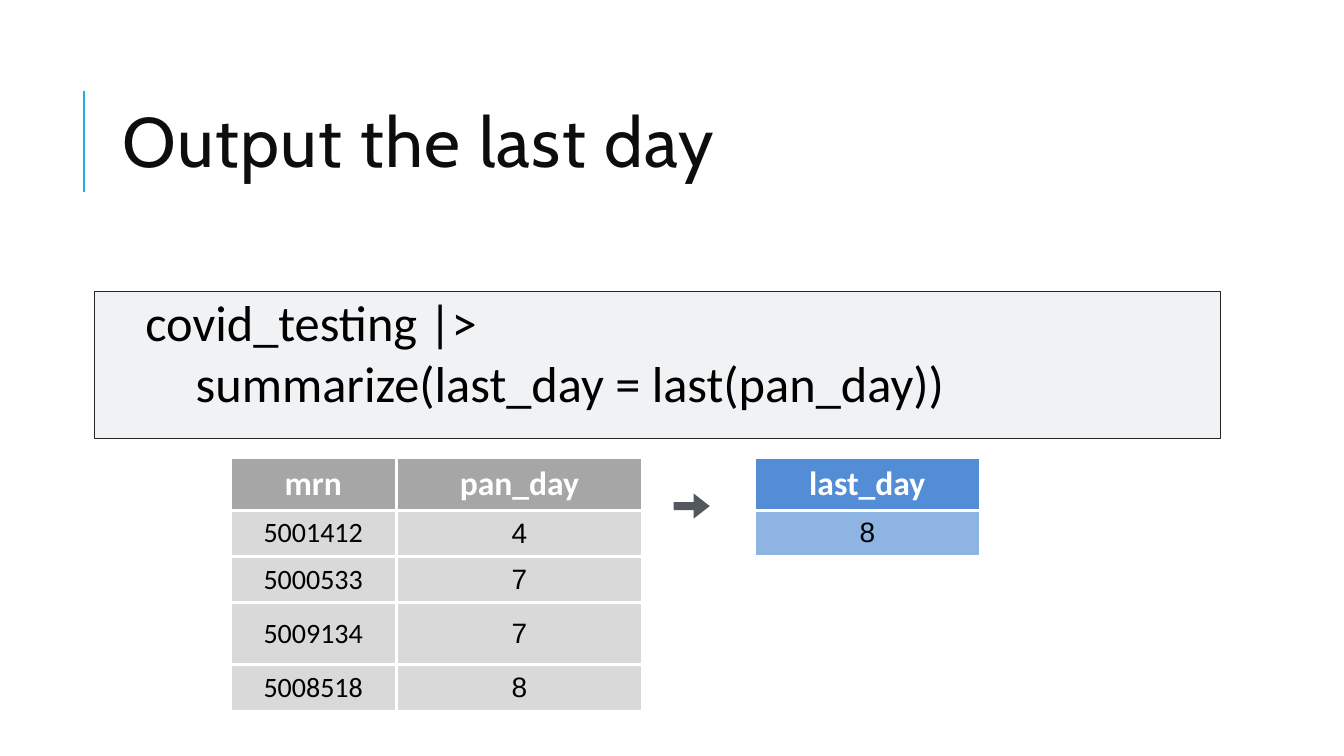
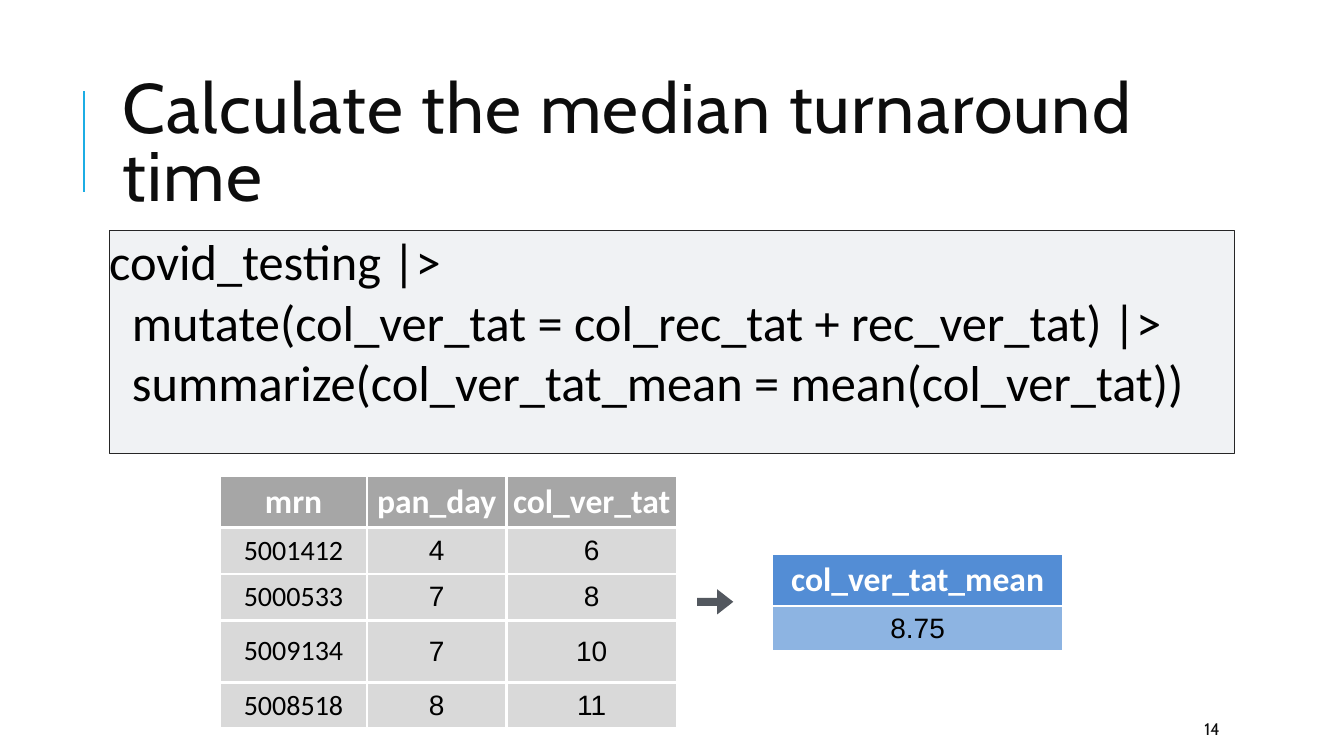
from dataclasses import dataclass

import lxml.etree
import pptx
import pptx.dml.color
import pptx.enum.shapes
import pptx.enum.text
import pptx.oxml.ns
import pptx.presentation
import pptx.shapes.autoshape
import pptx.slide
import pptx.table
import pptx.text.text
import pptx.util

# The slide is a grid of 160 columns by 90 rows; every length below is in cells.
SLIDE_WIDTH, SLIDE_HEIGHT = pptx.util.Inches(13.33), pptx.util.Inches(7.5)
COLUMNS, ROWS = 160, 90

WHITE, BLACK = "FFFFFF", "000000"
TITLE_INK, ACCENT = "0D0D0D", "1CADE4"
CODE_FILL, CODE_BORDER = "F0F2F4", "262626"
ARROW_FILL = "53585F"
TITLE_FONT, CODE_FONT, VALUE_FONT = "Cabin", "Calibri", "Arial"

HEADER_ROW, BODY_ROW, TALL_ROW, RESULT_ROW = 6.2, 5.5, 7.4, 5.3
INPUT_ROWS = (HEADER_ROW, BODY_ROW, BODY_ROW, TALL_ROW, BODY_ROW)
RESULT_ROWS = (HEADER_ROW, RESULT_ROW)
ARROW_WIDTH, ARROW_HEIGHT = 4.3, 3

MIDDLE = pptx.enum.text.MSO_ANCHOR.MIDDLE
CENTER = pptx.enum.text.PP_ALIGN.CENTER


@dataclass(frozen=True)
class Box:
    left: float
    top: float
    width: float
    height: float


@dataclass(frozen=True)
class Palette:
    header: str
    body: str


INPUT_PALETTE = Palette("A6A6A6", "D9D9D9")
RESULT_PALETTE = Palette("538DD5", "8DB4E2")


@dataclass(frozen=True)
class DataTable:
    left: float
    top: float
    widths: tuple[float, ...]
    heights: tuple[float, ...]
    cells: tuple[tuple[str, ...], ...]
    palette: Palette


@dataclass(frozen=True)
class Step:
    title: str
    code_box: Box
    code: tuple[str, ...]
    before: DataTable
    arrow_left: float
    after: DataTable
    page: str = ""


STEPS = (
    Step(
        title="Output the last day",
        code_box=Box(11.3, 34.7, 134, 17.5),
        code=("\tcovid_testing |>", "\t\tsummarize(last_day = last(pan_day))"),
        before=DataTable(
            27.4, 54.5, (19.8, 29.3), INPUT_ROWS,
            (("mrn", "pan_day"), ("5001412", "4"), ("5000533", "7"),
             ("5009134", "7"), ("5008518", "8")),
            INPUT_PALETTE,
        ),
        arrow_left=80.2,
        after=DataTable(89.8, 54.5, (26.9,), RESULT_ROWS,
                        (("last_day",), ("8",)), RESULT_PALETTE),
    ),
    Step(
        title="Calculate the median turnaround time",
        code_box=Box(13, 27.4, 134, 26.6),
        code=(
            "covid_testing |>",
            "  mutate(col_ver_tat = col_rec_tat + rec_ver_tat) |>",
            "  summarize(col_ver_tat_mean = mean(col_ver_tat))",
        ),
        before=DataTable(
            26.2, 56.6, (17.5, 16.6, 20.3), INPUT_ROWS,
            (("mrn", "pan_day", "col_ver_tat"), ("5001412", "4", "6"),
             ("5000533", "7", "8"), ("5009134", "7", "10"),
             ("5008518", "8", "11")),
            INPUT_PALETTE,
        ),
        arrow_left=83,
        after=DataTable(91.9, 65.9, (34.7,), RESULT_ROWS,
                        (("col_ver_tat_mean",), ("8.75",)), RESULT_PALETTE),
        page="14",
    ),
)


def across(columns: float) -> pptx.util.Emu:
    return pptx.util.Emu(round(SLIDE_WIDTH * columns / COLUMNS))


def down(rows: float) -> pptx.util.Emu:
    return pptx.util.Emu(round(SLIDE_HEIGHT * rows / ROWS))


def place(box: Box) -> tuple[pptx.util.Emu, ...]:
    """Turn a box in grid cells into left, top, width and height."""
    return across(box.left), down(box.top), across(box.width), down(box.height)


def colour(value: str) -> pptx.dml.color.RGBColor:
    return pptx.dml.color.RGBColor.from_string(value)


def add_run(paragraph: pptx.text.text._Paragraph, text: str, font: str,
            size: float, ink: str, bold: bool = False) -> pptx.text.text._Run:
    run = paragraph.add_run()
    run.text = text
    run.font.name = font
    run.font.size = pptx.util.Pt(size)
    run.font.bold = bold
    run.font.color.rgb = colour(ink)
    return run


def add_line_of_text(slide: pptx.slide.Slide, box: Box, text: str,
                     size: float) -> pptx.text.text._Paragraph:
    """Add a wrapped, vertically centred text box in the title font."""
    frame = slide.shapes.add_textbox(*place(box)).text_frame
    frame.word_wrap = True
    frame.vertical_anchor = MIDDLE
    paragraph = frame.paragraphs[0]
    add_run(paragraph, text, TITLE_FONT, size, TITLE_INK)
    return paragraph


def add_title(slide: pptx.slide.Slide, text: str) -> None:
    rule = slide.shapes.add_connector(
        pptx.enum.shapes.MSO_CONNECTOR.STRAIGHT,
        across(10), down(22.8), across(10), down(10.8))
    rule.line.color.rgb = colour(ACCENT)
    rule.line.width = pptx.util.Pt(1.5)
    lxml.etree.SubElement(rule._element.spPr, pptx.oxml.ns.qn("a:effectLst"))

    title = add_line_of_text(slide, Box(13.4, 7.7, 127.6, 19.7), text, 50)
    title.line_spacing = 0.8
    title.runs[0].font._element.set("spc", "100")


def add_filled_shape(slide: pptx.slide.Slide,
                     preset: pptx.enum.shapes.MSO_SHAPE, box: Box,
                     fill: str) -> pptx.shapes.autoshape.Shape:
    shape = slide.shapes.add_shape(preset, *place(box))
    shape.shadow.inherit = False
    shape.fill.solid()
    shape.fill.fore_color.rgb = colour(fill)
    shape.line.fill.background()
    return shape


def add_code(slide: pptx.slide.Slide, box: Box, lines: tuple[str, ...]) -> None:
    panel = add_filled_shape(
        slide, pptx.enum.shapes.MSO_SHAPE.RECTANGLE, box, CODE_FILL)
    panel.line.color.rgb = colour(CODE_BORDER)
    panel.line.width = pptx.util.Pt(0.75)
    frame = panel.text_frame
    frame.word_wrap = True
    frame.vertical_anchor = pptx.enum.text.MSO_ANCHOR.TOP
    frame.margin_left = frame.margin_right = 0
    frame.margin_top = frame.margin_bottom = 0
    for index, line in enumerate(lines):
        paragraph = frame.add_paragraph() if index else frame.paragraphs[0]
        paragraph.alignment = pptx.enum.text.PP_ALIGN.LEFT
        add_run(paragraph, line, CODE_FONT, 36, BLACK)


def add_arrow(slide: pptx.slide.Slide, left: float, target: DataTable) -> None:
    """Add an arrow level with the middle of the table it points to."""
    top = target.top + (sum(target.heights) - ARROW_HEIGHT) / 2
    arrow = add_filled_shape(
        slide, pptx.enum.shapes.MSO_SHAPE.RIGHT_ARROW,
        Box(left, top, ARROW_WIDTH, ARROW_HEIGHT), ARROW_FILL)
    arrow.adjustments[0] = 0.32
    arrow.adjustments[1] = 0.64


def add_cell_borders(cell: pptx.table._Cell) -> None:
    qn = pptx.oxml.ns.qn
    properties = cell._tc.get_or_add_tcPr()
    for side in ("a:lnL", "a:lnR", "a:lnT", "a:lnB"):
        border = lxml.etree.SubElement(
            properties, qn(side), w=str(pptx.util.Pt(2.25)))
        fill = lxml.etree.SubElement(border, qn("a:solidFill"))
        lxml.etree.SubElement(fill, qn("a:srgbClr"), val=WHITE)


def fill_cell(cell: pptx.table._Cell, text: str, fill: str, font: str,
              size: float, ink: str, bold: bool) -> None:
    add_cell_borders(cell)
    cell.fill.solid()
    cell.fill.fore_color.rgb = colour(fill)
    cell.vertical_anchor = MIDDLE
    cell.margin_left = cell.margin_right = pptx.util.Inches(0.05)
    cell.margin_top = cell.margin_bottom = pptx.util.Inches(0.06)
    paragraph = cell.text_frame.paragraphs[0]
    paragraph.alignment = CENTER
    add_run(paragraph, text, font, size, ink, bold)


def add_data_table(slide: pptx.slide.Slide, data: DataTable) -> None:
    box = Box(data.left, data.top, sum(data.widths), sum(data.heights))
    table = slide.shapes.add_table(
        len(data.heights), len(data.widths), *place(box)).table
    for column, width in zip(table.columns, data.widths):
        column.width = across(width)
    for row, height in zip(table.rows, data.heights):
        row.height = down(height)

    for row_index, values in enumerate(data.cells):
        for column_index, text in enumerate(values):
            cell = table.cell(row_index, column_index)
            if row_index == 0:
                fill_cell(cell, text, data.palette.header, CODE_FONT, 24,
                          WHITE, True)
            else:
                is_mrn = data.cells[0][column_index] == "mrn"
                font = CODE_FONT if is_mrn else VALUE_FONT
                fill_cell(cell, text, data.palette.body, font, 20, BLACK, False)


def add_step(deck: pptx.presentation.Presentation, step: Step) -> None:
    slide = deck.slides.add_slide(deck.slide_layouts[6])
    add_title(slide, step.title)
    if step.page:
        add_line_of_text(slide, Box(142.2, 85, 12.7, 3.6), step.page, 12)
    add_code(slide, step.code_box, step.code)
    add_data_table(slide, step.before)
    add_arrow(slide, step.arrow_left, step.after)
    add_data_table(slide, step.after)


def main() -> None:
    deck = pptx.Presentation()
    deck.slide_width, deck.slide_height = SLIDE_WIDTH, SLIDE_HEIGHT
    for step in STEPS:
        add_step(deck, step)
    deck.save("out.pptx")


if __name__ == "__main__":
    main()
